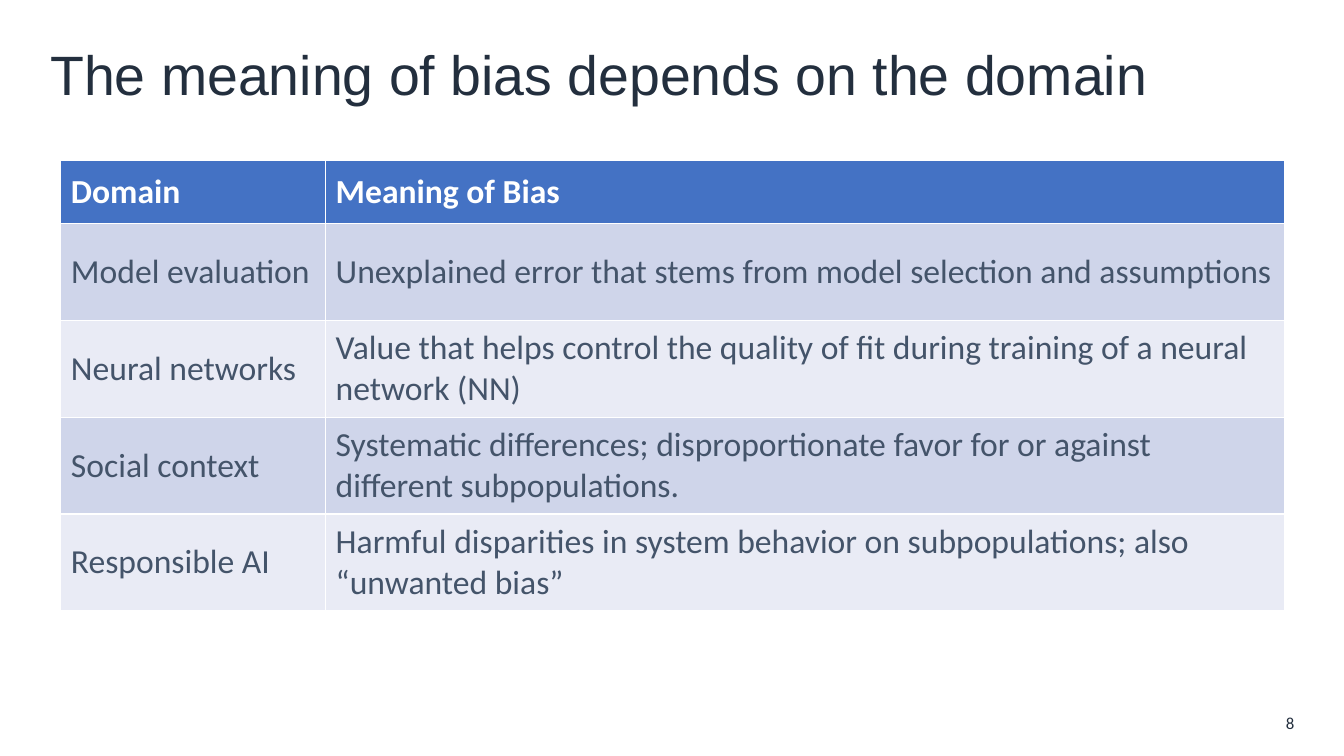
from dataclasses import dataclass

from pptx import Presentation
from pptx import util as u
from pptx.dml.color import RGBColor
from pptx.enum import text


@dataclass(frozen=True)
class Theme:
    title_font: str = "Arial"
    body_font: str = "Calibri"
    title_size: float = 39.6
    table_size: float = 24
    number_size: float = 12
    ink: str = "232F3E"
    header_ink: str = "FFFFFF"
    cell_ink: str = "44546A"
    header_fill: str = "4472C4"
    band_fills: tuple[str, str] = ("CFD5EA", "E9EBF5")


@dataclass(frozen=True)
class Style:
    font: str
    size: float
    color: str
    bold: bool = False
    align: text.PP_ALIGN = text.PP_ALIGN.LEFT


@dataclass(frozen=True)
class Area:
    """A rectangle in percent of the slide's width and height."""
    left: float
    top: float
    width: float
    height: float


@dataclass(frozen=True)
class Label:
    wording: str
    area: Area
    style: Style


@dataclass(frozen=True)
class Meaning:
    domain: str
    bias: str


THEME = Theme()
SLIDE_WIDTH, SLIDE_HEIGHT = u.Inches(13.33), u.Inches(7.5)

LABELS = [
    Label("The meaning of bias depends on the domain", Area(3, 4.4, 94.05, 10.67),
          Style(THEME.title_font, THEME.title_size, THEME.ink)),
    Label("8", Area(93.1, 94, 3.95, 3.33),
          Style(THEME.body_font, THEME.number_size, THEME.ink, align=text.PP_ALIGN.RIGHT)),
]

HEADER = Meaning("Domain", "Meaning of Bias")
MEANINGS = [
    Meaning("Model evaluation",
            "Unexplained error that stems from model selection and assumptions"),
    Meaning("Neural networks",
            "Value that helps control the quality of fit during training of a neural network (NN)"),
    Meaning("Social context",
            "Systematic differences; disproportionate favor for or against different subpopulations."),
    Meaning("Responsible AI",
            "Harmful disparities in system behavior on subpopulations; also “unwanted bias”"),
]
TABLE_LEFT, TABLE_TOP = 4.53, 21.2
COLUMN_WIDTHS = (19.7, 71.35)
HEADER_HEIGHT, ROW_HEIGHT = 8.4, 12.8

HEADER_STYLE = Style(THEME.body_font, THEME.table_size, THEME.header_ink, bold=True)
CELL_STYLE = Style(THEME.body_font, THEME.table_size, THEME.cell_ink)


def across(percent: float) -> u.Emu:
    return u.Emu(round(SLIDE_WIDTH * percent / 100))


def down(percent: float) -> u.Emu:
    return u.Emu(round(SLIDE_HEIGHT * percent / 100))


def bounds(area: Area) -> tuple[u.Emu, u.Emu, u.Emu, u.Emu]:
    return across(area.left), down(area.top), across(area.width), down(area.height)


def write(frame, wording: str, style: Style) -> None:
    frame.word_wrap = True
    para = frame.paragraphs[0]
    para.text = wording
    para.alignment = style.align
    para.font.name = style.font
    para.font.size = u.Pt(style.size)
    para.font.bold = style.bold
    para.font.color.rgb = RGBColor.from_string(style.color)


def add_label(page, label: Label) -> None:
    box = page.shapes.add_textbox(*bounds(label.area))
    box.text_frame.vertical_anchor = text.MSO_ANCHOR.MIDDLE
    write(box.text_frame, label.wording, label.style)


def fill_row(row, meaning: Meaning, style: Style, fill: str) -> None:
    for cell, wording in zip(row.cells, (meaning.domain, meaning.bias)):
        cell.fill.solid()
        cell.fill.fore_color.rgb = RGBColor.from_string(fill)
        cell.vertical_anchor = text.MSO_ANCHOR.MIDDLE
        write(cell.text_frame, wording, style)


def add_meanings(page) -> None:
    """Add the table; its default style supplies the white rules."""
    area = Area(TABLE_LEFT, TABLE_TOP, sum(COLUMN_WIDTHS),
                HEADER_HEIGHT + ROW_HEIGHT * len(MEANINGS))
    table = page.shapes.add_table(len(MEANINGS) + 1, len(COLUMN_WIDTHS), *bounds(area)).table
    for column, width in zip(table.columns, COLUMN_WIDTHS):
        column.width = across(width)

    header, *body = table.rows
    header.height = down(HEADER_HEIGHT)
    fill_row(header, HEADER, HEADER_STYLE, THEME.header_fill)
    for index, (row, meaning) in enumerate(zip(body, MEANINGS)):
        row.height = down(ROW_HEIGHT)
        fill_row(row, meaning, CELL_STYLE, THEME.band_fills[index % 2])


def main() -> None:
    deck = Presentation()
    deck.slide_width, deck.slide_height = SLIDE_WIDTH, SLIDE_HEIGHT
    page = deck.slides.add_slide(deck.slide_layouts[6])
    for label in LABELS:
        add_label(page, label)
    add_meanings(page)
    deck.save("out.pptx")


if __name__ == "__main__":
    main()
